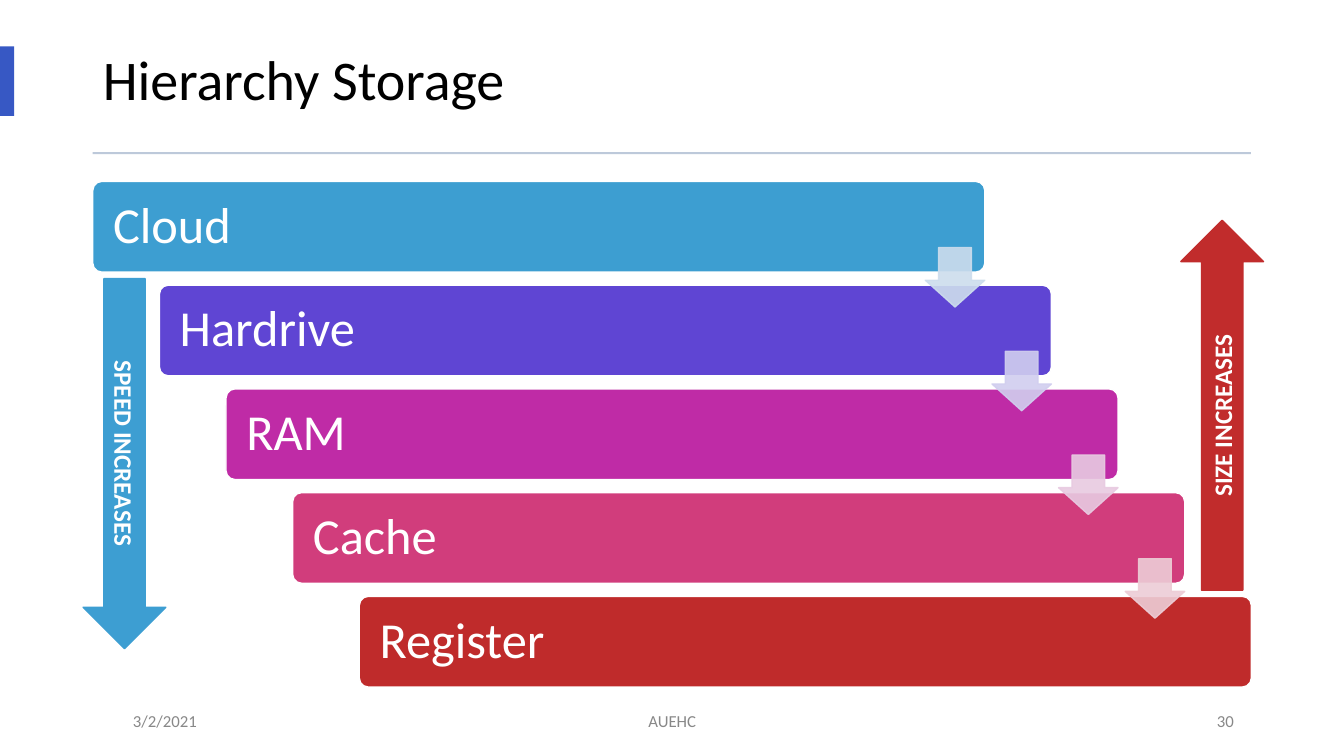
"""Build the storage hierarchy slide with its staircase of tiers."""
from dataclasses import dataclass

from lxml import etree
from pptx import Presentation
from pptx.dml.color import RGBColor
from pptx.enum import shapes, text
from pptx.oxml import ns
from pptx.util import Pt


@dataclass(frozen=True)
class Theme:
    """Colours, font and type sizes."""
    font: str = "Calibri"
    ink: str = "000000"
    paper: str = "FFFFFF"
    muted: str = "888888"
    accent: str = "3758C4"
    rule: str = "BDC9DA"
    speed: str = "3D9ED2"
    size: str = "C12C2C"
    title_size: int = 40
    tier_size: int = 36
    label_size: int = 18
    footer_size: int = 12


THEME = Theme()
SHAPE = shapes.MSO_SHAPE
ALIGN = text.PP_ALIGN
TIERS = [("Cloud", "3D9ED1"), ("Hardrive", "5F45D3"), ("RAM", "BF2BA6"),
         ("Cache", "D13D7C"), ("Register", "BF2B2B")]
STEP_COLOURS = ["CDDDED", "D1CEEF", "E8CAE1", "EDCDD6"]
TIER_LEFT, TIER_TOP, TIER_WIDTH, TIER_HEIGHT = 66.24, 129.6, 637.2, 64.8
SHIFT_X, SHIFT_Y = 47.6, 74.1
STEP_X, STEP_Y, STEP_SIZE = 594.7, 47.2, 42.5


def write(shape, words, size, colour, align=ALIGN.LEFT, bold=False, spacing=1.0):
    """Put one formatted, vertically centred line in a shape."""
    frame = shape.text_frame
    frame.text = words
    frame.word_wrap = True
    frame.auto_size = text.MSO_AUTO_SIZE.NONE
    frame.vertical_anchor = text.MSO_ANCHOR.MIDDLE
    para = frame.paragraphs[0]
    para.alignment = align
    para.line_spacing = spacing
    font = para.runs[0].font
    font.name, font.size, font.bold = THEME.font, Pt(size), bold
    font.color.rgb = RGBColor.from_string(colour)


def add_block(page, kind, place, fill, line=None, adjust=()):
    """Add a flat preset shape, outlined if a line colour is given."""
    block = page.shapes.add_shape(kind, *map(Pt, place))
    block.shadow.inherit = False
    block.fill.solid()
    block.fill.fore_color.rgb = RGBColor.from_string(fill)
    if line:
        block.line.color.rgb = RGBColor.from_string(line)
        block.line.width = Pt(1)
    else:
        block.line.fill.background()
    for index, value in enumerate(adjust):
        block.adjustments[index] = value
    return block


def add_title(page, words):
    """Place the title with its side accent and rule."""
    title = page.shapes.title
    title.left, title.top, title.width, title.height = map(Pt, (66.24, 19.44, 827.28, 79.2))
    write(title, words, THEME.title_size, THEME.ink, spacing=0.9)
    add_block(page, SHAPE.RECTANGLE, (0, 33.12, 10.08, 49.68), THEME.accent)
    add_block(page, SHAPE.RECTANGLE, (66.24, 108.72, 827.28, 1.44), THEME.rule)


def add_tier(page, index, words, colour):
    """Add one stair of the hierarchy."""
    place = (TIER_LEFT + index * SHIFT_X, TIER_TOP + index * SHIFT_Y, TIER_WIDTH, TIER_HEIGHT)
    tier = add_block(page, SHAPE.ROUNDED_RECTANGLE, place, colour, THEME.paper, [0.1])
    tier.text_frame.margin_left = Pt(12.6)
    write(tier, words, THEME.tier_size, THEME.paper, spacing=0.9)


def add_step(page, index, colour):
    """Add a translucent arrow from one tier to the next."""
    place = (TIER_LEFT + STEP_X + index * SHIFT_X, TIER_TOP + STEP_Y + index * SHIFT_Y,
             STEP_SIZE, STEP_SIZE)
    step = add_block(page, SHAPE.DOWN_ARROW, place, colour, colour, [0.55, 0.45])
    for tint in step._element.spPr.iter(ns.qn("a:srgbClr")):
        etree.SubElement(tint, ns.qn("a:alpha")).set("val", "90000")


def add_trend(page, words, left, top, rotation, colour):
    """Add a long labelled arrow turned upright."""
    trend = add_block(page, SHAPE.RIGHT_ARROW, (left, top, 264.24, 59.04), colour, colour,
                      [0.5, 0.5])
    trend.rotation = rotation
    write(trend, words, THEME.label_size, THEME.paper, ALIGN.CENTER, bold=True)


def add_footer(page, words, left, width, align):
    """Add one footer text."""
    box = page.shapes.add_textbox(Pt(left), Pt(500.4), Pt(width), Pt(28.8))
    write(box, words, THEME.footer_size, THEME.muted, align)


def main():
    """Build and save the deck."""
    deck = Presentation()
    deck.slide_width, deck.slide_height = Pt(960), Pt(540)
    page = deck.slides.add_slide(deck.slide_layouts.get_by_name("Title Only"))
    add_title(page, "Hierarchy Storage")
    for index, (words, colour) in enumerate(TIERS):
        add_tier(page, index, words, colour)
    for index, colour in enumerate(STEP_COLOURS):
        add_step(page, index, colour)
    add_trend(page, "SPEED INCREASES", -43.2, 301.68, 90, THEME.speed)
    add_trend(page, "SIZE INCREASES", 740.88, 259.92, 270, THEME.size)
    add_footer(page, "3/2/2021", 87.84, 216, ALIGN.LEFT)
    add_footer(page, "AUEHC", 318.24, 324, ALIGN.CENTER)
    add_footer(page, "30", 672.48, 216, ALIGN.RIGHT)
    deck.save("out.pptx")


if __name__ == "__main__":
    main()
